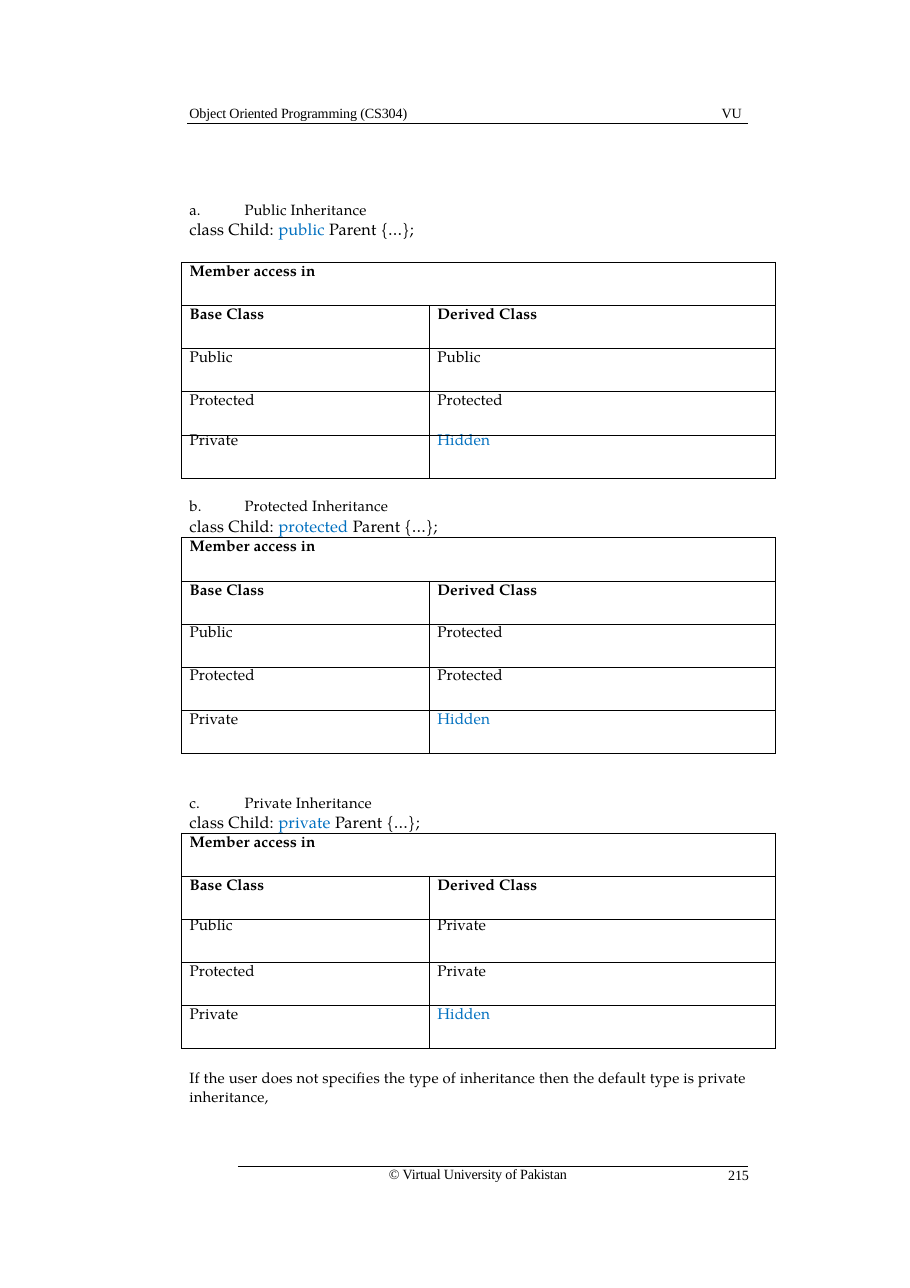
"""Build the page on access rules under three kinds of inheritance."""
from pptx import Presentation
from pptx.dml.color import RGBColor as Rgb
from pptx.enum.shapes import MSO_CONNECTOR as Conn
from pptx.enum.text import MSO_ANCHOR as Anchor, MSO_AUTO_SIZE as Auto, PP_ALIGN as Align
from pptx.oxml.ns import qn
from pptx.util import Inches, Pt
from lxml.etree import SubElement as Sub

SERIF, BOOK = "Times New Roman", "TeX Gyre Pagella"
BLACK, BLUE = "000000", "0070C0"
HEAD = "Object Oriented Programming (CS304)"
LABELS = [
    ("VU", 6.54, 0.95, 0.25),
    ("© Virtual University of Pakistan", 3.52, 10.58, 1.75),
    ("215", 6.6, 10.59, 0.25),
]
RULES = [(1.7, 1.12), (2.16, 10.59)]
RIGHT = 6.79
SPAN = "Member access in"
COLS = ["Base Class", "Derived Class"]
BASE = ["Public", "Protected", "Private"]
PARTS = [
    ("a.", "Public", 0.25, 1.82, 2.38, ["Public", "Protected", "Hidden"], 4),
    ("b.", "Protected", 0.22, 4.51, 4.88, ["Protected", "Protected", "Hidden"], None),
    ("c.", "Private", 0.24, 7.2, 7.56, ["Private", "Private", "Hidden"], 2),
]
NOTE = ("If the user does not specifies the type of inheritance then "
        "the default type is private inheritance,")
LEFT, WIDTHS, ROW = 1.65, (2.25, 3.14), 0.392


def paint(code):
    return Rgb.from_string(code)


def write(para, text, size, face=BOOK, color=BLACK, bold=False):
    run = para.add_run()
    run.text = text
    font = run.font
    font.size, font.name, font.bold = Pt(size), face, bold
    font.color.rgb = paint(color)
    run._r.get_or_add_rPr().set("spc", "10" if face == BOOK else "-10")


def indent(para, gap):
    props = para._p.get_or_add_pPr()
    props.set("marL", str(Inches(gap)))
    props.set("indent", "0")
    return props


def frame(shape):
    area = shape.text_frame
    area.margin_left = area.margin_right = area.margin_top = area.margin_bottom = 0
    area.word_wrap, area.auto_size = True, Auto.NONE
    area.vertical_anchor = Anchor.TOP
    para = area.paragraphs[0]
    para.alignment = Align.LEFT
    indent(para, 0.01)
    return area


def box(x, y, w, h):
    return frame(slide.shapes.add_textbox(Inches(x), Inches(y), Inches(w), Inches(h)))


def rule(x, y):
    line = slide.shapes.add_connector(
        Conn.STRAIGHT, Inches(x), Inches(y), Inches(RIGHT), Inches(y))
    line.line.color.rgb, line.line.width = paint(BLACK), Pt(0.66)
    Sub(line._element.spPr, qn("a:effectLst"))


def edge(cell):
    props = cell._tc.get_or_add_tcPr()
    for side in ("lnL", "lnR", "lnT", "lnB"):
        line = Sub(props, qn("a:" + side), w=str(Pt(0.48)))
        Sub(Sub(line, qn("a:solidFill")), qn("a:srgbClr"), val=BLACK)
    cell.fill.background()
    cell.margin_left = cell.margin_right = cell.margin_top = cell.margin_bottom = 0


def intro(mark, kind, tab, y):
    area = box(1.71, y, 2.4, 0.36)
    para = area.paragraphs[0]
    stops = Sub(indent(para, 0.01), qn("a:tabLst"))
    Sub(stops, qn("a:tab"), pos=str(Inches(tab)), algn="l")
    write(para, f"{mark}\t{kind} Inheritance", 9.7)
    para = area.add_paragraph()
    indent(para, 0.01)
    para.space_before = Pt(0.7)
    write(para, "class Child: ", 10.7)
    write(para, kind.lower() + " ", 10.7, color=BLUE)
    write(para, "Parent {…};", 10.7)


def grid(y, access, loose):
    rows = [(SPAN, ""), COLS, *zip(BASE, access)]
    table = slide.shapes.add_table(
        len(rows), 2, Inches(LEFT), Inches(y),
        Inches(sum(WIDTHS)), Inches(ROW * len(rows))).table
    table.first_row = table.horz_banding = False
    for col, wide in zip(table.columns, WIDTHS):
        col.width = Inches(wide)
    for r, words in enumerate(rows):
        table.rows[r].height = Inches(ROW)
        for c, word in enumerate(words):
            cell = table.cell(r, c)
            edge(cell)
            if not word:
                continue
            para = cell.text_frame.paragraphs[0]
            indent(para, 0.07)
            if r != loose:
                para.line_spacing = Pt(11.8)
            write(para, word, 10, color=BLUE if word == "Hidden" else BLACK, bold=r < 2)
    table.cell(0, 0).merge(table.cell(0, 1))


deck = Presentation()
deck.slide_width, deck.slide_height = Inches(8.26), Inches(11.69)
slide = deck.slides.add_slide(deck.slide_layouts[5])
title = slide.shapes.title
title.left, title.top = Inches(1.71), Inches(0.95)
title.width, title.height = Inches(2.2), Inches(0.16)
write(frame(title).paragraphs[0], HEAD, 9.2, SERIF)
for text, x, y, w in LABELS:
    write(box(x, y, w, 0.16).paragraphs[0], text, 9.2, SERIF)
for x, y in RULES:
    rule(x, y)
for mark, kind, tab, y, top, access, loose in PARTS:
    intro(mark, kind, tab, y)
    grid(top, access, loose)
para = box(1.71, 9.69, 5.31, 0.35).paragraphs[0]
para.line_spacing = 1.06
write(para, NOTE, 9.7)
deck.save("out.pptx")
